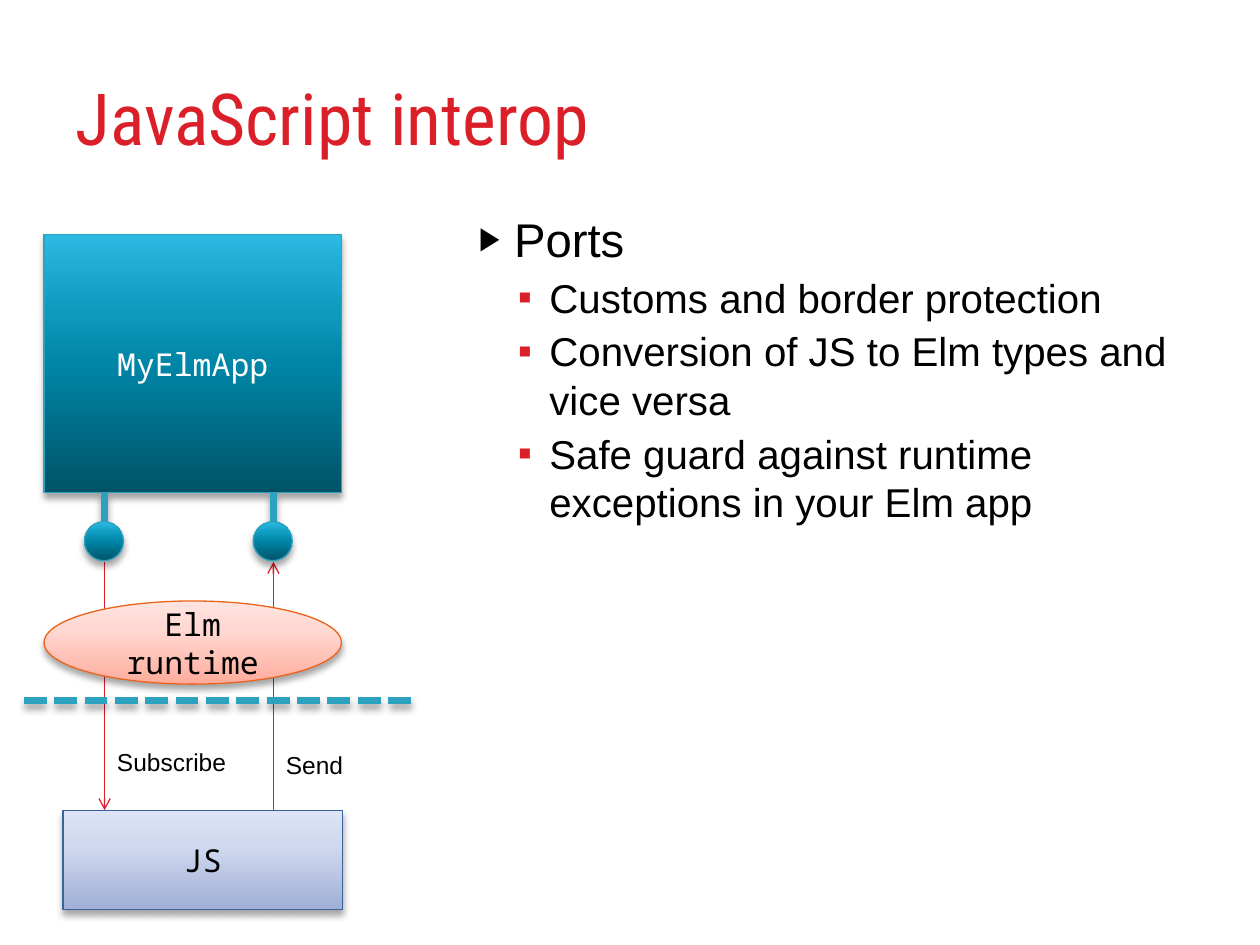
from lxml.etree import SubElement
from pptx import Presentation
from pptx.dml.color import RGBColor
from pptx.enum.dml import MSO_LINE
from pptx.enum.shapes import MSO_CONNECTOR, MSO_SHAPE
from pptx.enum.text import MSO_ANCHOR, MSO_AUTO_SIZE, PP_ALIGN
from pptx.oxml.ns import qn
from pptx.util import Inches, Pt

RED, BLACK, WHITE, TEAL = "DA1F28", "000000", "FFFFFF", "2DA2BF"
TEAL_STOPS = [(0, "005367"), (50, "0086A7"), (70, "0E9ABE"), (100, "2CB9E3")]
ORANGE_STOPS = [(0, "FFAC9C"), (65, "FFD8D2"), (100, "FFE4DF")]
BLUE_STOPS = [(0, "9FAFD6"), (65, "D0D9EF"), (100, "DCE3F6")]


def color(value):
    return RGBColor.from_string(value)


def apply(target, values):
    for name, value in values.items():
        setattr(target, name, value)


def add_node(parent, tag, **attributes):
    node = SubElement(parent, qn(tag))
    for name, value in attributes.items():
        node.set(name, str(value))
    return node


class SlideBuilder:
    """Holds the text styles and the slide, and draws each kind of element."""

    styles = {
        "title": ("Roboto Condensed", 41, RED),
        "topic": ("Arial", 27, BLACK),
        "detail": ("Arial", 23, BLACK),
        "label": ("Arial", 14, BLACK),
        "light": ("Noto Sans Mono", 18, WHITE),
        "dark": ("Noto Sans Mono", 18, BLACK),
    }
    bullets = {
        "topic": {"level": 0, "left": 0.4, "hang": 0.28, "before": 4,
                  "mark": "▶", "color": BLACK, "percent": 68},
        "detail": {"level": 1, "left": 0.68, "hang": 0.25, "before": 3.2,
                   "mark": "▪", "color": RED, "percent": 100},
    }

    def __init__(self, page):
        self.page = page

    def place(self, box, bounds):
        apply(box, dict(zip(("left", "top", "width", "height"), map(Inches, bounds))))

    def add_text(self, para, text, style, align=PP_ALIGN.LEFT):
        name, size, ink = self.styles[style]
        para.alignment = align
        span = para.add_run()
        span.text = text
        apply(span.font, {"name": name, "size": Pt(size), "bold": False})
        span.font.color.rgb = color(ink)

    def title(self, text, bounds):
        box = self.page.shapes.title
        self.place(box, bounds)
        apply(box.text_frame, {"vertical_anchor": MSO_ANCHOR.MIDDLE, "auto_size": MSO_AUTO_SIZE.NONE})
        self.add_text(box.text_frame.paragraphs[0], text, "title")

    def body(self, items, bounds):
        box = self.page.placeholders[1]
        self.place(box, bounds)
        frame = box.text_frame
        frame.auto_size = MSO_AUTO_SIZE.NONE
        for index, (style, text) in enumerate(items):
            para = frame.add_paragraph() if index else frame.paragraphs[0]
            bullet = self.bullets[style]
            apply(para, {"level": bullet["level"], "space_before": Pt(bullet["before"])})
            self.add_text(para, text, style)
            settings = para._p.get_or_add_pPr()
            settings.set("marL", str(Inches(bullet["left"])))
            settings.set("indent", str(-Inches(bullet["hang"])))
            add_node(add_node(settings, "a:buClr"), "a:srgbClr", val=bullet["color"])
            add_node(settings, "a:buSzPct", val=bullet["percent"] * 1000)
            add_node(settings, "a:buFont", typeface="Arial")
            add_node(settings, "a:buChar", char=bullet["mark"])

    def shadow(self, effects):
        outer = add_node(effects, "a:outerShdw", blurRad=Pt(4), dist=Pt(3),
                         dir=5400000, algn="ctr", rotWithShape=0)
        add_node(add_node(outer, "a:srgbClr", val=BLACK), "a:alpha", val=35000)

    def shape(self, kind, bounds, stops, edge, text="", style="dark"):
        box = self.page.shapes.add_shape(kind, *map(Inches, bounds))
        box.fill.gradient()
        box.fill.gradient_angle = 90
        properties = box._element.spPr
        stop_list = properties.find(qn("a:gradFill")).find(qn("a:gsLst"))
        for stop in list(stop_list):
            stop_list.remove(stop)
        for position, value in stops:
            add_node(add_node(stop_list, "a:gs", pos=position * 1000), "a:srgbClr", val=value)
        box.line.color.rgb = color(edge)
        box.line.width = Pt(0.75)
        box.shadow.inherit = False
        self.shadow(properties.find(qn("a:effectLst")))
        if text:
            apply(box.text_frame, {"word_wrap": True, "vertical_anchor": MSO_ANCHOR.MIDDLE})
            self.add_text(box.text_frame.paragraphs[0], text, style, PP_ALIGN.CENTER)

    def line(self, start, end, ink, width, arrow=False, dash=None, shadow=False):
        link = self.page.shapes.add_connector(MSO_CONNECTOR.STRAIGHT, *map(Inches, start + end))
        link.line.color.rgb = color(ink)
        apply(link.line, {"width": Pt(width), "dash_style": dash})
        properties = link._element.spPr
        if arrow:
            add_node(properties.find(qn("a:ln")), "a:tailEnd", type="arrow")
        effects = add_node(properties, "a:effectLst")
        if shadow:
            self.shadow(effects)

    def label(self, text, bounds):
        box = self.page.shapes.add_textbox(*map(Inches, bounds))
        apply(box.text_frame, {"word_wrap": True, "auto_size": MSO_AUTO_SIZE.SHAPE_TO_FIT_TEXT})
        self.add_text(box.text_frame.paragraphs[0], text, "label")


deck = Presentation()
apply(deck, {"slide_width": Inches(10), "slide_height": Inches(7.5)})
slide = SlideBuilder(deck.slides.add_slide(deck.slide_layouts[1]))

slide.title("JavaScript interop", (0.5, 0.3, 9, 1.25))
slide.body([
    ("topic", "Ports"),
    ("detail", "Customs and border protection"),
    ("detail", "Conversion of JS to Elm types and vice versa"),
    ("detail", "Safe guard against runtime exceptions in your Elm app"),
], (3.58, 1.62, 5.92, 4.95))

subscribe_x, send_x = 0.83, 2.17
port_bottom, script_top = 4.46, 6.43
slide.line((subscribe_x, port_bottom), (subscribe_x, script_top), RED, 0.75, arrow=True)
slide.line((send_x, script_top), (send_x, port_bottom), RED, 0.75, arrow=True)

slide.shape(MSO_SHAPE.RECTANGLE, (0.35, 1.86, 2.36, 2.05), TEAL_STOPS, TEAL, "MyElmApp", "light")
slide.shape(MSO_SHAPE.OVAL, (0.35, 4.77, 2.36, 0.66), ORANGE_STOPS, "EB641B", "Elm runtime")
slide.shape(MSO_SHAPE.RECTANGLE, (0.5, script_top, 2.22, 0.79), BLUE_STOPS, "39639D", "JS")

for port_x in (subscribe_x, send_x):
    slide.line((port_x, 3.91), (port_x, 4.14), TEAL, 4.33, shadow=True)
    slide.shape(MSO_SHAPE.OVAL, (port_x - 0.16, 4.14, 0.31, 0.31), TEAL_STOPS, TEAL)

slide.line((0.19, 5.56), (3.26, 5.56), TEAL, 4.33, dash=MSO_LINE.SQUARE_DOT, shadow=True)
slide.label("Subscribe", (subscribe_x, 5.88, 1.1, 0.34))
slide.label("Send", (send_x, 5.9, 1.1, 0.34))

deck.save("out.pptx")
